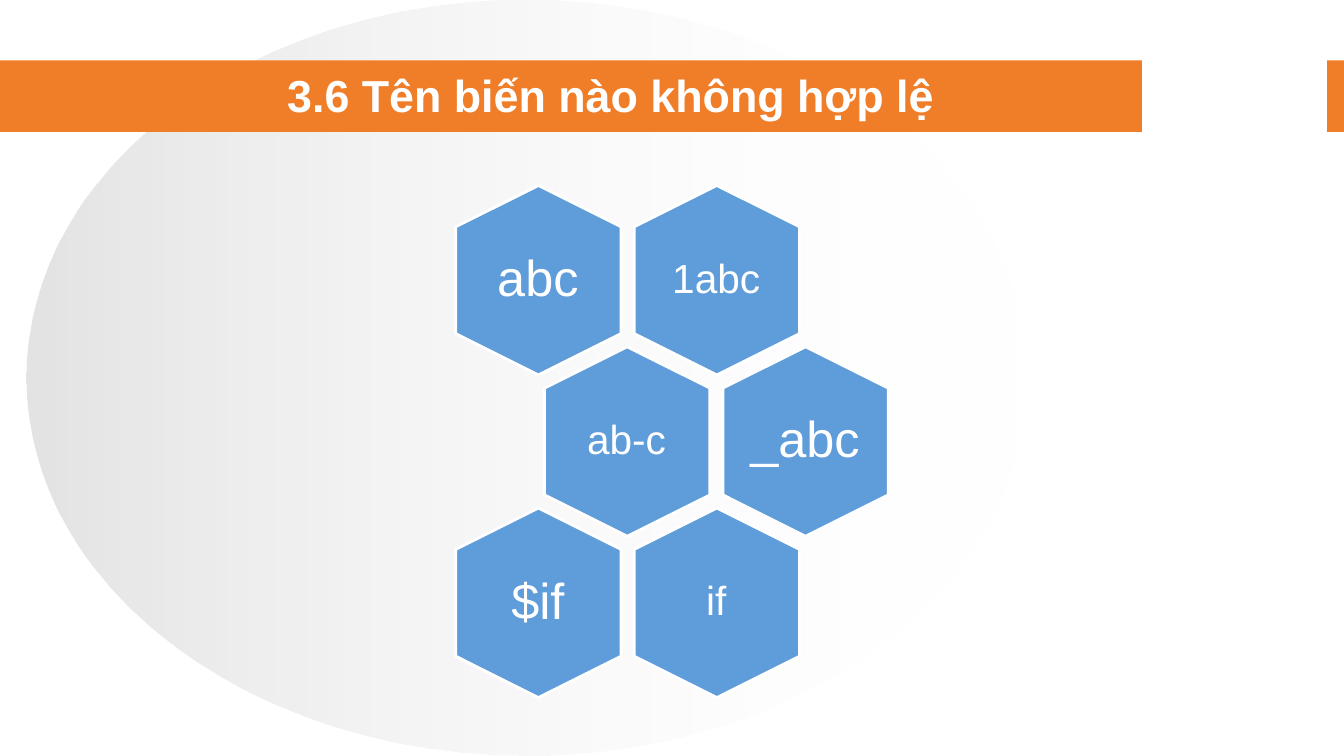
import pptx
import pptx.util
import pptx.dml.color
import pptx.enum.shapes
import pptx.enum.text
import pptx.oxml.ns
import lxml.etree

TITLE = "3.6 Tên biến nào không hợp lệ"
ROWS = [
    (440, [("abc", 36), ("1abc", 29)]),
    (528, [("ab-c", 29), ("_abc", 36)]),
    (440, [("$if", 36), ("if", 29)]),
]
TOP, STEP_X, STEP_Y = 196, 177, 160
HEX_W, HEX_H = 188, 164
TEXT_W, TEXT_H = 113, 130
WHITE, ORANGE, BLUE, GREY = "FFFFFF", "F07D27", "5E9CDA", "C0C0C0"
KIND = pptx.enum.shapes.MSO_SHAPE


def px(num):
    return pptx.util.Emu(num * 9144)


def color(code):
    return pptx.dml.color.RGBColor.from_string(code)


def draw(slide, kind, box, fill, line=None, width=1):
    shape = slide.shapes.add_shape(kind, *map(px, box))
    shape.shadow.inherit = False
    shape.fill.solid()
    shape.fill.fore_color.rgb = color(fill)
    if line:
        shape.line.color.rgb = color(line)
        shape.line.width = pptx.util.Pt(width)
    else:
        shape.line.fill.background()
    return shape


def fade(shape, stops):
    shape.fill.gradient()
    shape.fill.gradient_angle = 0
    for stop, (code, _) in zip(shape.fill.gradient_stops, stops):
        stop.color.rgb = color(code)
    tag = pptx.oxml.ns.qn("a:srgbClr")
    for node, (_, alpha) in zip(shape.element.spPr.iter(tag), stops):
        for child in list(node):
            node.remove(child)
        mark = lxml.etree.SubElement(node, pptx.oxml.ns.qn("a:alpha"))
        mark.set("val", str(alpha * 1000))


def write(slide, text, box, size, bold=False, space=None):
    frame = slide.shapes.add_textbox(*map(px, box)).text_frame
    frame.text = text
    frame.word_wrap = True
    frame.vertical_anchor = pptx.enum.text.MSO_ANCHOR.MIDDLE
    frame.margin_left = frame.margin_right = 0
    frame.margin_top = frame.margin_bottom = 0
    para = frame.paragraphs[0]
    para.alignment = pptx.enum.text.PP_ALIGN.CENTER
    if space:
        para.line_spacing = space
    font = para.runs[0].font
    font.name = "Arial"
    font.size = pptx.util.Pt(size)
    font.bold = bold
    font.color.rgb = color(WHITE)


def main():
    deck = pptx.Presentation()
    deck.slide_width, deck.slide_height = px(1333), px(750)
    slide = deck.slides.add_slide(deck.slide_layouts[6])

    oval = draw(slide, KIND.OVAL, (26, 0, 992, 750), GREY)
    fade(oval, [(GREY, 44), (WHITE, 0)])
    draw(slide, KIND.RECTANGLE, (0, 60, 1333, 71), ORANGE)
    draw(slide, KIND.RECTANGLE, (1133, 60, 183, 71), WHITE, WHITE, 0.75)
    write(slide, TITLE, (167, 67, 878, 53), 32, True)

    for row, (left, names) in enumerate(ROWS):
        y = TOP + row * STEP_Y
        for col, (name, size) in enumerate(names):
            x = left + col * STEP_X
            cell = draw(slide, KIND.HEXAGON, (x, y, HEX_W, HEX_H), BLUE, WHITE, 2)
            cell.rotation = 90
            cell.adjustments[0] = 0.25
            box = (x + (HEX_W - TEXT_W) // 2, y + (HEX_H - TEXT_H) // 2, TEXT_W, TEXT_H)
            write(slide, name, box, size, space=0.9)

    deck.save("out.pptx")


if __name__ == "__main__":
    main()
